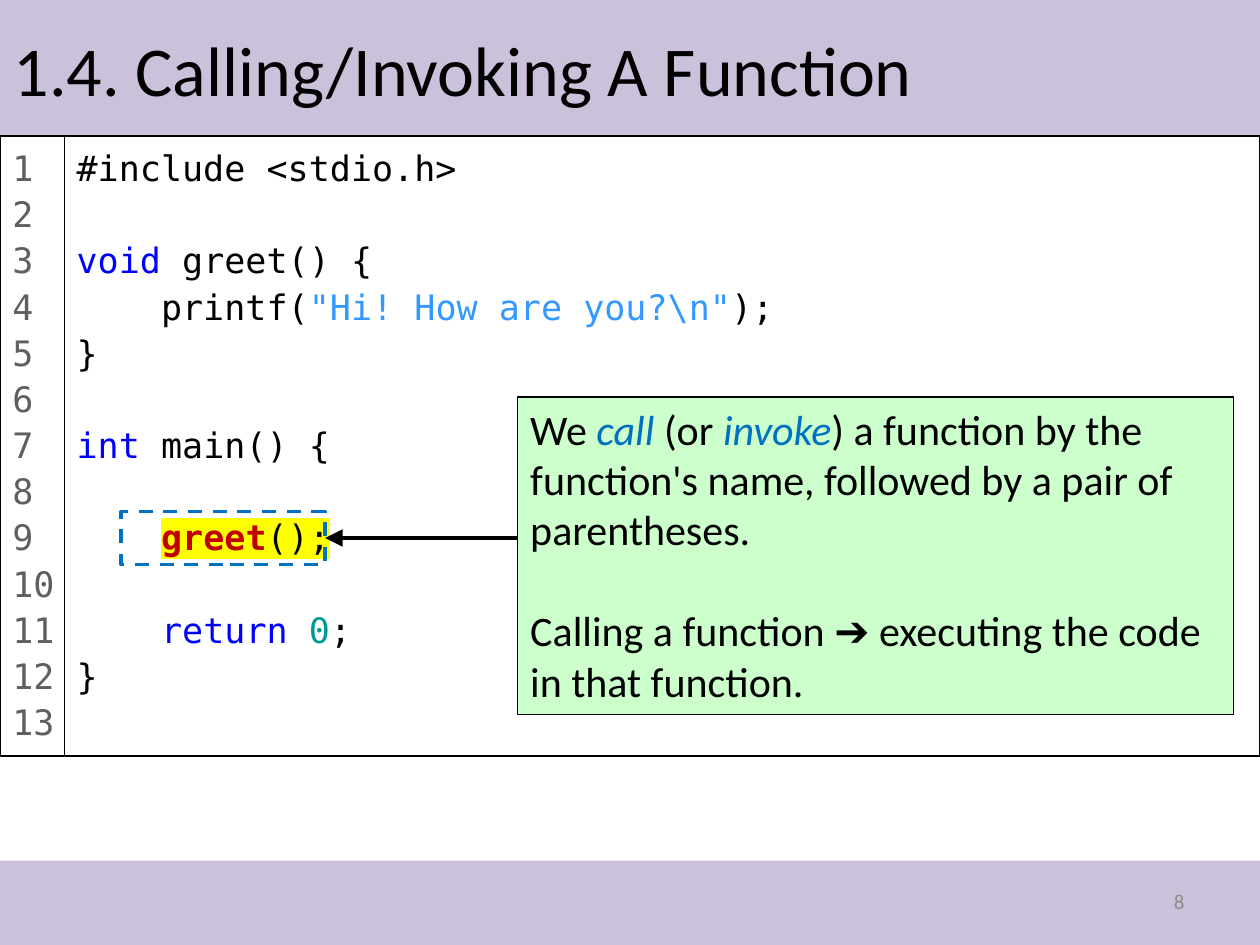
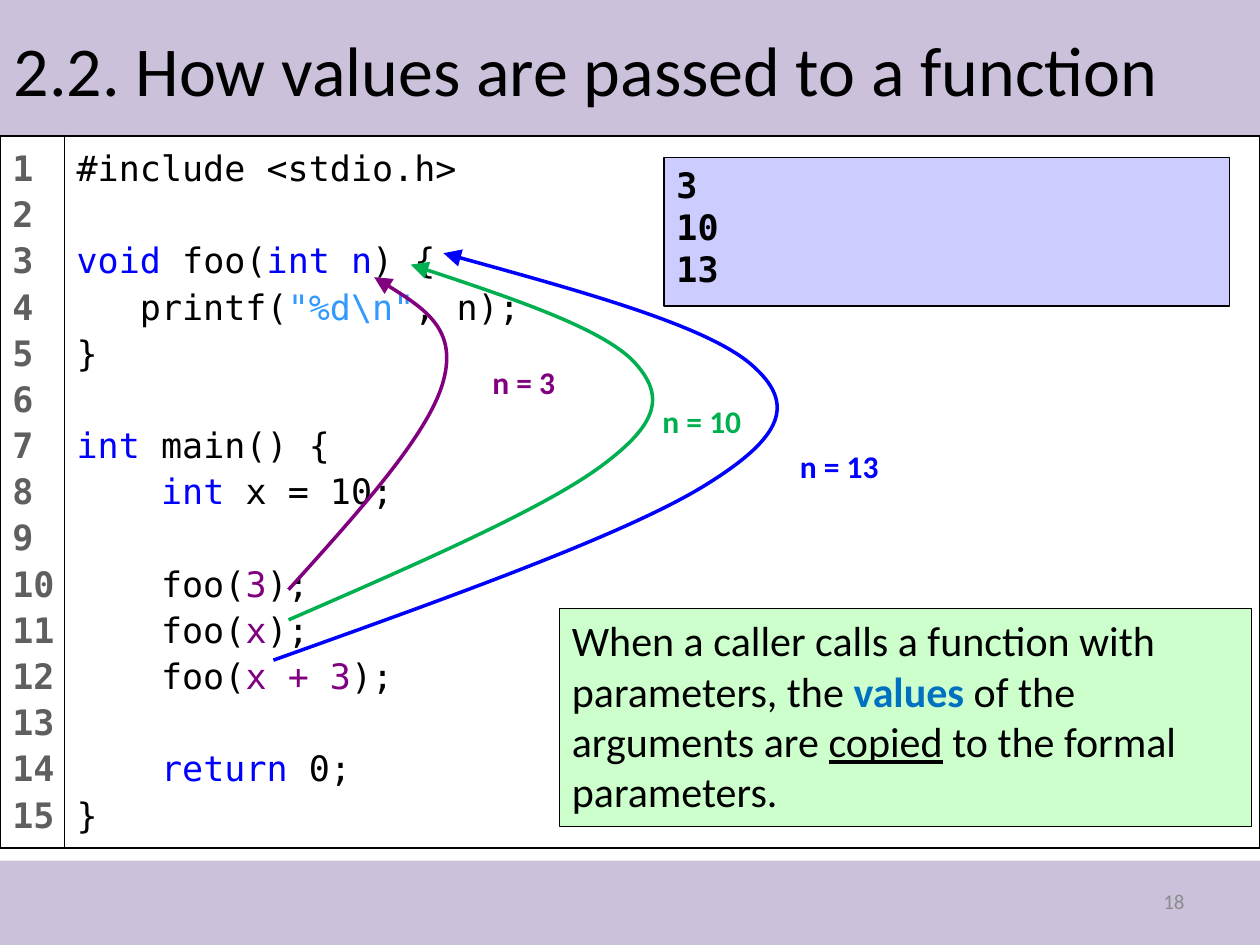
import pptx
import pptx.util
import pptx.dml.color
import pptx.enum.dml
import pptx.enum.shapes
import pptx.enum.text
import pptx.oxml.ns
import lxml.etree
from dataclasses import dataclass

Inches = pptx.util.Inches
Pt = pptx.util.Pt
qn = pptx.oxml.ns.qn
ALIGN = pptx.enum.text.PP_ALIGN
ANCHOR = pptx.enum.text.MSO_ANCHOR
RECTANGLE = pptx.enum.shapes.MSO_SHAPE.RECTANGLE


@dataclass(frozen=True)
class Theme:
    band: str = "CCC1DA"
    panel: str = "FFFFFF"
    callout: str = "CCFFCC"
    console: str = "CCCCFF"
    ink: str = "000000"
    line_number: str = "5F5F5F"
    page_number: str = "8C8C8C"
    keyword: str = "0000FF"
    string: str = "3399FF"
    number: str = "009999"
    argument: str = "800080"
    call: str = "C00000"
    marker: str = "FFFF00"
    accent: str = "0070C0"
    second_call: str = "00B050"
    body_font: str = "Calibri"
    code_font: str = "DejaVu Sans Mono"
    title_size: float = 40
    callout_size: float = 24
    code_size: float = 20
    label_size: float = 18
    page_size: float = 12
    code_spacing: float = 1.1
    code_gap: float = 26.4
    callout_gap: float = 28.8
    thin: float = 0.75
    thick: float = 2


THEME = Theme()


def rgb(value):
    return pptx.dml.color.RGBColor.from_string(value)


def add_run(paragraph, text, size, font, color, bold=False, italic=False,
            underline=False, highlight=None):
    run = paragraph.add_run()
    run.text = text
    run.font.size, run.font.bold = Pt(size), bold
    run.font.italic, run.font.underline = italic, underline
    run.font.color.rgb = rgb(color)
    if highlight:
        # The highlight must follow the fill element
        marker = lxml.etree.Element(qn("a:highlight"))
        lxml.etree.SubElement(marker, qn("a:srgbClr"), val=highlight)
        run._r.rPr.find(qn("a:solidFill")).addnext(marker)
    run.font.name = font


def write_text(shape, lines, size, font=THEME.body_font, color=THEME.ink, bold=False,
               align=ALIGN.LEFT, anchor=ANCHOR.TOP, wrap=True, spacing=None, gap=0):
    """Write lines of runs; a run is text or (text, format). None is a gap."""
    frame = shape.text_frame
    frame.word_wrap, frame.vertical_anchor = wrap, anchor
    paragraph, space = None, 0
    for line in lines:
        if line is None:
            space += gap
            continue
        paragraph = frame.add_paragraph() if paragraph else frame.paragraphs[0]
        paragraph.alignment = align
        if spacing:
            paragraph.line_spacing = spacing
        if space:
            paragraph.space_before = Pt(space)
        space = 0
        for run in [line] if isinstance(line, str) else line:
            text, own = (run, {}) if isinstance(run, str) else run
            base = dict(size=size, font=font, color=color, bold=bold)
            add_run(paragraph, text, **{**base, **own})


class Deck:
    def __init__(self, theme):
        self.theme = theme
        self.presentation = pptx.Presentation()
        self.presentation.slide_width = Inches(10)
        self.presentation.slide_height = Inches(7.5)
        self.layout = self.presentation.slide_layouts[6]
        self.shapes = None

    def start_slide(self, title, page):
        t = self.theme
        first = self.shapes is None
        self.shapes = self.presentation.slides.add_slide(self.layout).shapes
        if first:
            self.share_bands()
        self.text(0.01, 0, 9.99, 1.08, title, size=t.title_size, anchor=ANCHOR.MIDDLE)
        self.text(7.17, 6.95, 2.33, 0.4, str(page), size=t.page_size,
                  color=t.page_number, align=ALIGN.RIGHT, anchor=ANCHOR.MIDDLE)

    def share_bands(self):
        """Place the header and footer bands on the layout, once for all slides."""
        for placeholder in list(self.layout.placeholders):
            placeholder.element.getparent().remove(placeholder.element)
        bands = [self.box(0, top, 10, height, fill=self.theme.band)
                 for top, height in ((0, 1.08), (6.83, 0.67))]
        for band in bands:
            self.layout.shapes.element.append(band.element)

    def box(self, left, top, width, height, fill=None, line=None, weight=None, dash=None):
        box = self.shapes.add_shape(RECTANGLE, Inches(left), Inches(top),
                                    Inches(width), Inches(height))
        box.shadow.inherit = False
        if fill:
            box.fill.solid()
            box.fill.fore_color.rgb = rgb(fill)
        else:
            box.fill.background()
        if line:
            self.stroke(box, line, weight or self.theme.thin)
            if dash:
                box.line.dash_style = dash
        else:
            box.line.fill.background()
        return box

    def text(self, left, top, width, height, text, **style):
        area = self.shapes.add_textbox(Inches(left), Inches(top),
                                       Inches(width), Inches(height))
        write_text(area, [text], **style)

    def stroke(self, shape, color, weight, arrow=False):
        shape.line.color.rgb = rgb(color)
        shape.line.width = Pt(weight)
        if arrow:
            outline = shape.element.spPr.find(qn("a:ln"))
            lxml.etree.SubElement(outline, qn("a:tailEnd"), type="triangle",
                                  w="lg", len="lg")

    def code(self, height, lines, line_count, fill=None, bold_numbers=False):
        t = self.theme
        style = dict(size=t.code_size, font=t.code_font, spacing=t.code_spacing)
        listing = self.box(0.51, 1.08, 9.49, height, fill, t.ink)
        write_text(listing, lines, gap=t.code_gap, **style)
        gutter = self.box(0, 1.08, 0.51, height, t.panel, t.ink)
        write_text(gutter, [str(n) for n in range(1, line_count + 1)],
                   color=t.line_number, bold=bold_numbers, wrap=False, **style)

    def callout(self, left, top, width, height, lines):
        note = self.box(left, top, width, height, self.theme.callout, self.theme.ink)
        write_text(note, lines, size=self.theme.callout_size, gap=self.theme.callout_gap)

    def console(self, left, top, width, height, lines):
        t = self.theme
        screen = self.box(left, top, width, height, t.console, t.ink)
        write_text(screen, lines, size=t.code_size, font=t.code_font, bold=True)

    def arrow(self, start, end):
        arrow = self.shapes.add_connector(pptx.enum.shapes.MSO_CONNECTOR.STRAIGHT,
                                          *map(Inches, start + end))
        self.stroke(arrow, self.theme.ink, self.theme.thick, arrow=True)
        lxml.etree.SubElement(arrow.element.spPr, qn("a:effectLst"))

    def curved_arrow(self, knots, color):
        """Draw joined cubic curves: a start, then two controls and an end each."""
        start, *others = [tuple(map(Inches, knot)) for knot in knots]
        builder = self.shapes.build_freeform(*start)
        builder.add_line_segments(others, close=False)
        curve = builder.convert_to_shape()
        segments = list(curve.element.iter(qn("a:lnTo")))
        for first in range(0, len(segments), 3):
            cubic = lxml.etree.Element(qn("a:cubicBezTo"))
            segments[first].addprevious(cubic)
            for segment in segments[first:first + 3]:
                cubic.append(segment[0])
                segment.getparent().remove(segment)
        curve.shadow.inherit = False
        curve.fill.background()
        self.stroke(curve, color, self.theme.thick, arrow=True)


# Run formats for code and emphasis
def keyword(text):
    return text, dict(color=THEME.keyword)


def string(text):
    return text, dict(color=THEME.string)


def argument(text):
    return text, dict(color=THEME.argument)


def accent(text, **style):
    return text, dict(color=THEME.accent, **style)


def build_calling_slide(deck):
    t = deck.theme
    deck.start_slide("1.4. Calling/Invoking A Function", 8)
    deck.code(4.92, [
        "#include <stdio.h>",
        None,
        [keyword("void "), "greet() {"],
        ["    printf(", string('"Hi! How are you?\\n"'), ");"],
        "}",
        None,
        [keyword("int"), " main() {"],
        None,
        ["    ", ("greet", dict(color=t.call, bold=True, highlight=t.marker)),
         ("();", dict(highlight=t.marker))],
        None,
        ["    ", keyword("return "), ("0", dict(color=t.number)), ";"],
        "}",
    ], line_count=13)

    # The call and its explanation
    deck.box(0.96, 4.06, 1.62, 0.42, line=t.accent, weight=t.thick,
             dash=pptx.enum.dml.MSO_LINE.DASH)
    deck.callout(4.11, 3.15, 5.68, 2.52, [
        ["We ", accent("call ", italic=True), "(or ", accent("invoke", italic=True),
         ") a function by the function's name, followed by a pair of parentheses."],
        None,
        "Calling a function ➔ executing the code in that function.",
    ])
    deck.arrow((4.11, 4.27), (2.58, 4.27))


def build_passing_slide(deck):
    t = deck.theme
    deck.start_slide("2.2. How values are passed to a function", 18)
    calls = [["    foo(", argument(value), ");"] for value in ("3", "x", "x + 3")]
    deck.code(5.65, [
        "#include <stdio.h>",
        None,
        [keyword("void"), " foo(", keyword("int n"), ") {"],
        ["   printf(", string('"%d\\n"'), ", n);"],
        "}",
        None,
        [keyword("int"), " main() {"],
        ["    ", keyword("int"), " x = 10;"],
        None,
        *calls,
        None,
        ["    ", keyword("return"), " 0;"],
        "}",
    ], line_count=15, fill=t.panel, bold_numbers=True)
    deck.console(5.27, 1.25, 4.49, 1.18, ["3", "10", "13"])

    # Each argument travels to the parameter n
    passes = [
        ("n = 3", t.argument, (3.81, 2.83, 0.71),
         [(2.29, 4.68), (2.85, 4.06), (3.41, 3.44), (3.52, 3.02),
          (3.63, 2.61), (3.3, 2.4), (2.97, 2.2)]),
        ("n = 10", t.second_call, (5.16, 3.14, 0.83),
         [(2.29, 4.92), (3.3, 4.48), (4.31, 4.04), (4.77, 3.7),
          (5.23, 3.36), (5.28, 3.14), (5.03, 2.87),
          (4.78, 2.61), (4.02, 2.35), (3.26, 2.1)]),
        ("n = 13", t.keyword, (6.25, 3.5, 0.83),
         [(2.17, 5.24), (3.57, 4.74), (4.97, 4.24), (5.6, 3.85),
          (6.23, 3.46), (6.31, 3.2), (5.97, 2.9),
          (5.62, 2.59), (4.57, 2.3), (3.52, 2.01)]),
    ]
    for label, color, place, knots in passes:
        deck.curved_arrow(knots, color)
        deck.text(*place, 0.4, label, size=t.label_size, color=color, bold=True, wrap=False)

    deck.callout(4.44, 4.83, 5.49, 1.73, [
        ["When a caller calls a function with parameters, the ",
         accent("values", bold=True), " of the arguments are ",
         ("copied", dict(underline=True)), " to the formal parameters."],
    ])


def main():
    deck = Deck(THEME)
    build_calling_slide(deck)
    build_passing_slide(deck)
    deck.presentation.save("out.pptx")


if __name__ == "__main__":
    main()
